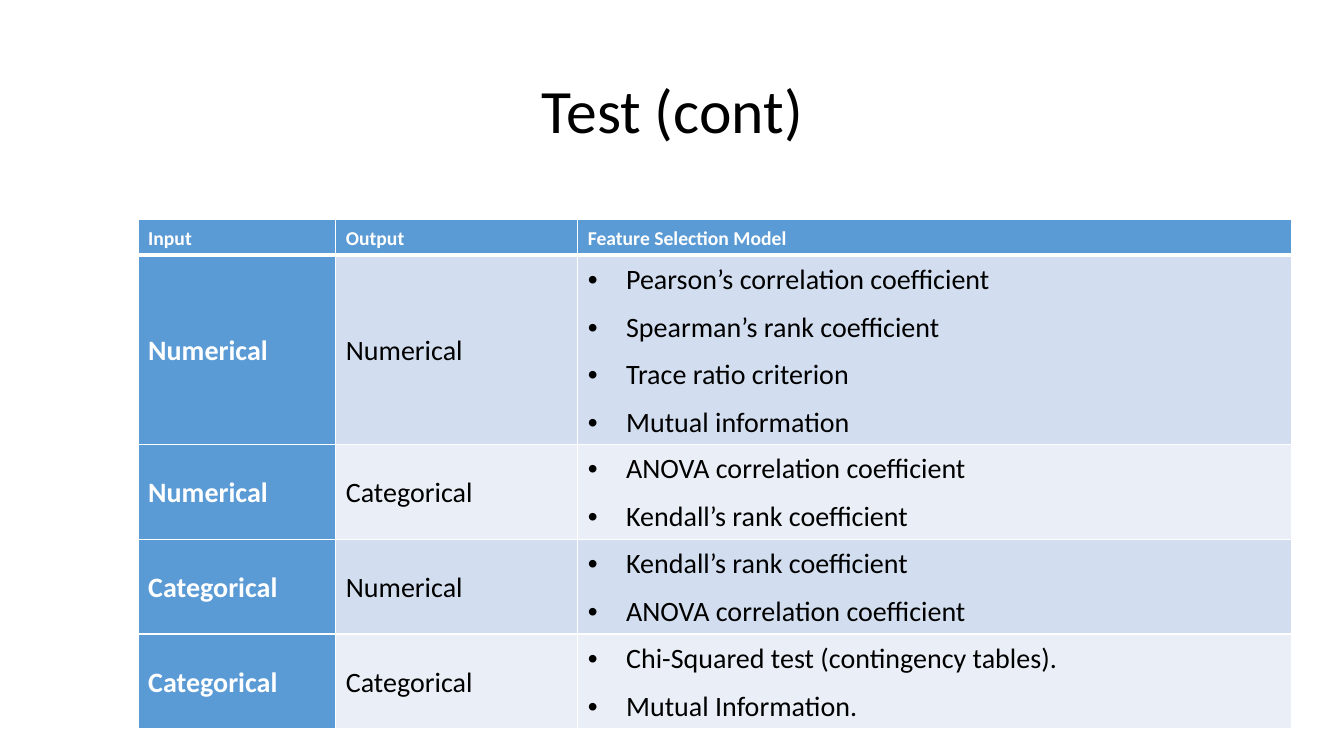
import pptx
import pptx.dml.color
import pptx.enum.text
import pptx.oxml
import pptx.oxml.ns
import pptx.util
from pptx.util import Inches

FONT = "Calibri"
WHITE, BLACK, BLUE = "FFFFFF", "000000", "5B9BD5"
BANDS = ["D2DEEF", "EAEFF7"]
COLUMN_WIDTHS = [1.96, 2.4, 7.08]
HEADER_HEIGHT, LINE_HEIGHT = 0.35, 0.47
HEADINGS = ["Input", "Output", "Feature Selection Model"]
TESTS = [
    ("Numerical", "Numerical", ["Pearson’s correlation coefficient", "Spearman’s rank coefficient",
                                "Trace ratio criterion", "Mutual information"]),
    ("Numerical", "Categorical", ["ANOVA correlation coefficient", "Kendall’s rank coefficient"]),
    ("Categorical", "Numerical", ["Kendall’s rank coefficient", "ANOVA correlation coefficient"]),
    ("Categorical", "Categorical", ["Chi-Squared test (contingency tables).", "Mutual Information."]),
]


def rgb(color):
    """Turn a hex string into a colour."""
    return pptx.dml.color.RGBColor.from_string(color)


def format_text(para, size, color, bold=False):
    """Set the font of every run in a paragraph."""
    for span in para.runs:
        span.font.name = FONT
        span.font.size = pptx.util.Pt(size)
        span.font.bold = bold
        span.font.color.rgb = rgb(color)


def add_xml(parent, tag, content="", **attributes):
    """Append one DrawingML element to a parent."""
    values = "".join(f' {name}="{value}"' for name, value in attributes.items())
    namespace = pptx.oxml.ns.nsdecls("a")
    parent.append(pptx.oxml.parse_xml(f"<a:{tag} {namespace}{values}>{content}</a:{tag}>"))


def add_bullet(para):
    """Give a paragraph a hanging round bullet."""
    properties = para._p.get_or_add_pPr()
    properties.set("marL", str(Inches(0.38)))
    properties.set("indent", str(Inches(-0.38)))
    add_xml(properties, "buFont", typeface="Arial")
    add_xml(properties, "buChar", char="•")
    add_xml(properties, "tabLst", f'<a:tab pos="{Inches(0.5)}" algn="l"/>')


def fill_cell(cell, lines, fill, size, color, bold=False, bulleted=False, before=0, after=0, top=1, bottom=1):
    """Write lines into a cell and set its borders and fill."""
    properties = cell._tc.get_or_add_tcPr()
    for side, width in zip("LRTB", (1, 1, top, bottom)):
        line = f'<a:solidFill><a:srgbClr val="{WHITE}"/></a:solidFill>'
        add_xml(properties, f"ln{side}", line, w=pptx.util.Pt(width))
    cell.fill.solid()
    cell.fill.fore_color.rgb = rgb(fill)
    cell.vertical_anchor = pptx.enum.text.MSO_ANCHOR.MIDDLE
    cell.text_frame.text = "\n".join(lines)
    for para in cell.text_frame.paragraphs:
        para.alignment = pptx.enum.text.PP_ALIGN.JUSTIFY
        para.line_spacing = 1.07
        para.space_before = pptx.util.Pt(before)
        para.space_after = pptx.util.Pt(after)
        if bulleted:
            add_bullet(para)
        format_text(para, size, color, bold)


def add_title(page, text, left, top, width, height):
    """Place the centred slide title in the given box."""
    box = page.shapes.add_textbox(Inches(left), Inches(top), Inches(width), Inches(height))
    frame = box.text_frame
    frame.word_wrap = True
    frame.vertical_anchor = pptx.enum.text.MSO_ANCHOR.MIDDLE
    frame.text = text
    para = frame.paragraphs[0]
    para.alignment = pptx.enum.text.PP_ALIGN.CENTER
    para.line_spacing = 0.9
    format_text(para, 44, BLACK)


def add_test_table(page, left, top):
    """Place the table of feature selection tests at the given corner."""
    heights = [HEADER_HEIGHT] + [LINE_HEIGHT * len(models) for _, _, models in TESTS]
    table = page.shapes.add_table(len(heights), len(COLUMN_WIDTHS), Inches(left), Inches(top),
                                  Inches(sum(COLUMN_WIDTHS)), Inches(sum(heights))).table
    for column, width in zip(table.columns, COLUMN_WIDTHS):
        column.width = Inches(width)
    for row, height in zip(table.rows, heights):
        row.height = Inches(height)
    for index, heading in enumerate(HEADINGS):
        fill_cell(table.cell(0, index), [heading], BLUE, 14, WHITE, bold=True, before=12, after=12, bottom=3)
    for number, (source, target, models) in enumerate(TESTS, 1):
        band = BANDS[(number - 1) % 2]
        edge = 3 if number == 1 else 1
        gap = 12 if number == 1 else 0
        fill_cell(table.cell(number, 0), [source], BLUE, 20, WHITE, bold=True, before=gap, after=gap, top=edge)
        fill_cell(table.cell(number, 1), [target], band, 20, BLACK, before=gap, after=gap, top=edge)
        fill_cell(table.cell(number, 2), models, band, 20, BLACK, bulleted=True, after=8, top=edge)


def main():
    """Build the slide and save it."""
    deck = pptx.Presentation()
    deck.slide_width, deck.slide_height = Inches(13.33), Inches(7.5)
    page = deck.slides.add_slide(deck.slide_layouts[6])
    add_title(page, "Test (cont)", 0.92, 0.4, 11.5, 1.45)
    add_test_table(page, 1.37, 2.18)
    deck.save("out.pptx")


if __name__ == "__main__":
    main()
